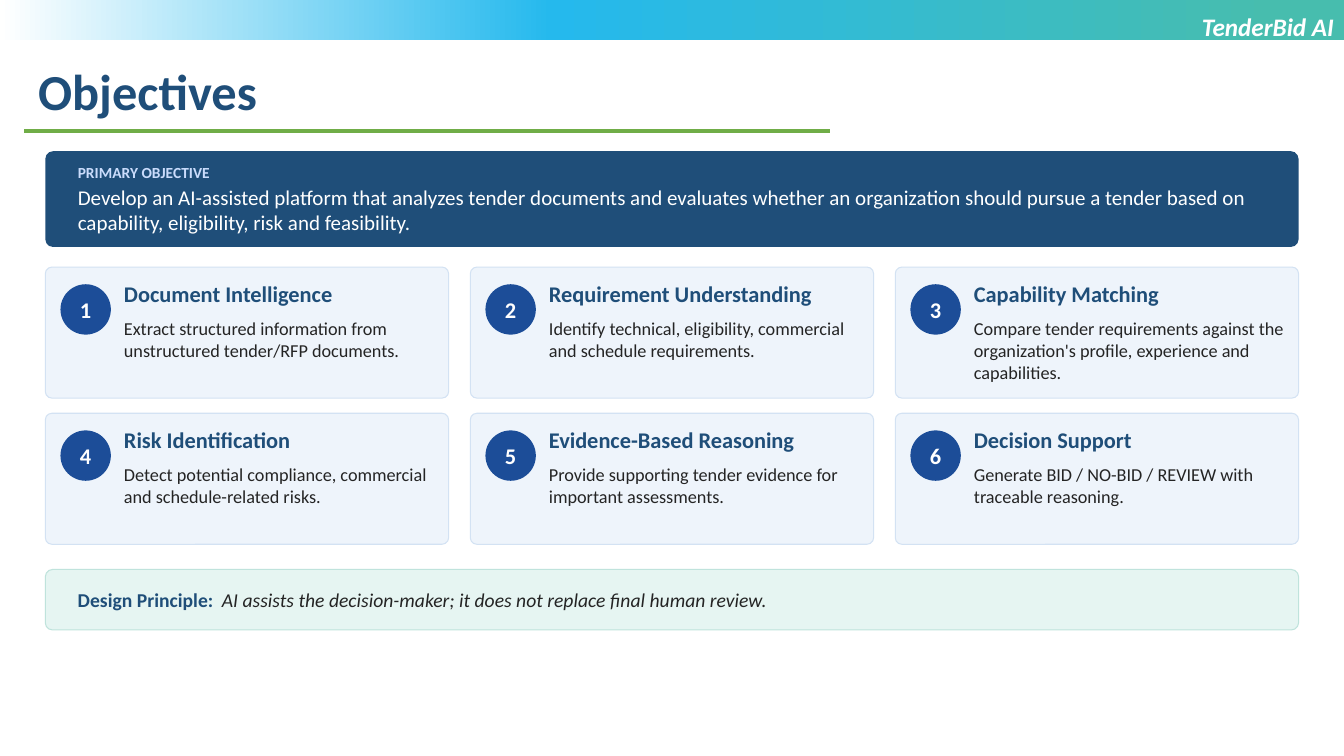
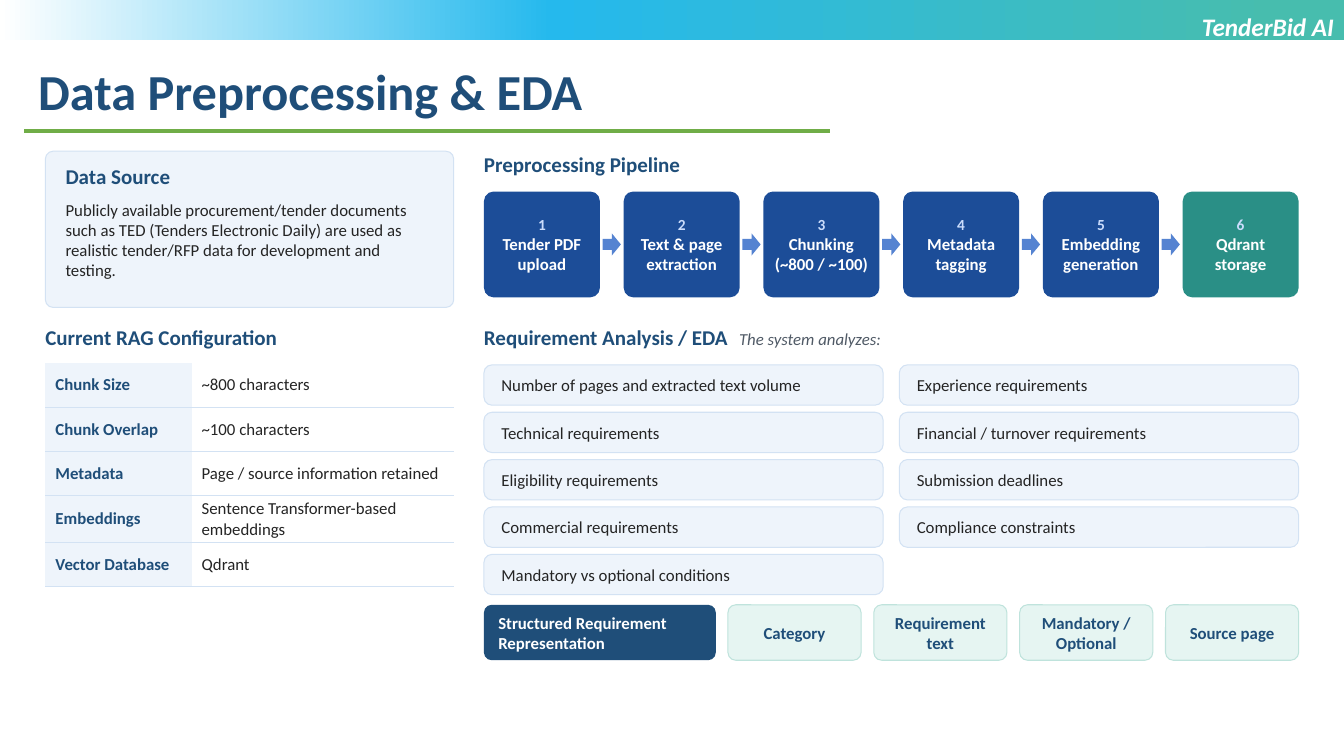
"""Build the Objectives and Data Preprocessing slides."""
from copy import deepcopy

from lxml import etree
from pptx import Presentation
from pptx.dml.color import RGBColor
from pptx.enum.shapes import MSO_CONNECTOR, MSO_SHAPE
from pptx.enum.text import MSO_ANCHOR, PP_ALIGN
from pptx.oxml.ns import qn
from pptx.util import Inches, Pt

RECTANGLE, ROUNDED = MSO_SHAPE.RECTANGLE, MSO_SHAPE.ROUNDED_RECTANGLE
OVAL, ARROW, STRAIGHT = MSO_SHAPE.OVAL, MSO_SHAPE.RIGHT_ARROW, MSO_CONNECTOR.STRAIGHT
TOP, MIDDLE = MSO_ANCHOR.TOP, MSO_ANCHOR.MIDDLE
LEFT, CENTER, RIGHT = PP_ALIGN.LEFT, PP_ALIGN.CENTER, PP_ALIGN.RIGHT

FONT = "Calibri"
NO_TABLE_STYLE = "{2D5ABB26-0587-4C30-8999-92F81FD0307C}"
COLORS = {
    "navy": "1F4E79", "blue": "1C4D98", "teal": "2A8F86", "arrow": "5583D1",
    "pale": "EEF4FB", "pale line": "D3E2F3", "mint": "E6F5F2", "mint line": "BFE3DC",
    "ice": "CADCFC", "ink": "242424", "gray": "505A66", "white": "FFFFFF",
    "rule": "70AD47", "band right": "47BDAE", "band middle": "25B9ED",
}
BAND_STOPS = [(0.05, "band right"), (0.59, "band middle"), (1, "white")]
STYLES = {
    "title": (36, "navy", True, False),
    "brand": (18, "white", True, True),
    "card title": (16, "navy", True, False),
    "card text": (13, "ink", False, False),
    "number": (16, "white", True, False),
    "kicker": (11, "ice", True, False),
    "lead": (15, "white", False, False),
    "principle": (14, "navy", True, False),
    "principle text": (14, "ink", False, True),
    "heading": (15, "navy", True, False),
    "aside": (12, "gray", False, True),
    "body": (12, "ink", False, False),
    "label": (12, "navy", True, False),
    "label white": (12, "white", True, False),
}

WIDTH, HEIGHT = 13.33, 7.5
MARGIN, CONTENT_WIDTH, CONTENT_TOP = 0.45, 12.43, 1.5
SIDE_WIDTH = 4.05
MAIN_LEFT, MAIN_WIDTH = 4.8, 8.08

BRAND = "TenderBid AI"
PRIMARY = ("PRIMARY OBJECTIVE",
           "Develop an AI-assisted platform that analyzes tender documents and evaluates whether "
           "an organization should pursue a tender based on capability, eligibility, risk and feasibility.")
OBJECTIVES = [
    ("Document Intelligence", "Extract structured information from unstructured tender/RFP documents."),
    ("Requirement Understanding", "Identify technical, eligibility, commercial and schedule requirements."),
    ("Capability Matching",
     "Compare tender requirements against the organization's profile, experience and capabilities."),
    ("Risk Identification", "Detect potential compliance, commercial and schedule-related risks."),
    ("Evidence-Based Reasoning", "Provide supporting tender evidence for important assessments."),
    ("Decision Support", "Generate BID / NO-BID / REVIEW with traceable reasoning."),
]
PRINCIPLE = ("Design Principle:", "AI assists the decision-maker; it does not replace final human review.")
DATA_SOURCE = ("Data Source",
               "Publicly available procurement/tender documents such as TED (Tenders Electronic Daily) "
               "are used as realistic tender/RFP data for development and testing.")
CONFIGURATION = [
    ("Chunk Size", "~800 characters"),
    ("Chunk Overlap", "~100 characters"),
    ("Metadata", "Page / source information retained"),
    ("Embeddings", "Sentence Transformer-based embeddings"),
    ("Vector Database", "Qdrant"),
]
PIPELINE = ["Tender PDF upload", "Text & page extraction", "Chunking (~800 / ~100)",
            "Metadata tagging", "Embedding generation", "Qdrant storage"]
ANALYSES = [
    ["Number of pages and extracted text volume", "Technical requirements", "Eligibility requirements",
     "Commercial requirements", "Mandatory vs optional conditions"],
    ["Experience requirements", "Financial / turnover requirements", "Submission deadlines",
     "Compliance constraints"],
]
REPRESENTATION = "Structured Requirement Representation"
FIELDS = ["Category", "Requirement text", "Mandatory / Optional", "Source page"]


def rgb(name):
    return RGBColor.from_string(COLORS[name])


def spread(left, total, count, width):
    """Return the left edges of equal items that fill a width with equal gaps."""
    step = (total - width) / (count - 1)
    return [left + index * step for index in range(count)]


def set_font(font, style):
    size, color, font.bold, font.italic = STYLES[style]
    font.name, font.size = FONT, Pt(size)
    font.color.rgb = rgb(color)


def write(frame, paragraphs, align=LEFT, space_after=0, tab=None):
    """Fill a text frame with paragraphs, each a list of (text, style) runs."""
    frame.word_wrap = True
    for index, runs in enumerate(paragraphs):
        paragraph = frame.add_paragraph() if index else frame.paragraphs[0]
        paragraph.alignment = align
        if space_after and index < len(paragraphs) - 1:
            paragraph.space_after = Pt(space_after)
        if tab:
            tabs = etree.SubElement(paragraph._p.get_or_add_pPr(), qn("a:tabLst"))
            etree.SubElement(tabs, qn("a:tab"), pos=str(Inches(tab)), algn="l")
        for text, style in runs:
            run = paragraph.add_run()
            run.text = text
            set_font(run.font if len(runs) > 1 else paragraph.font, style)


def set_insets(target, insets):
    (target.margin_left, target.margin_top,
     target.margin_right, target.margin_bottom) = map(Inches, insets)


def add_text(slide, box, runs, insets=(0, 0, 0, 0), align=LEFT, tab=None):
    frame = slide.shapes.add_textbox(*map(Inches, box)).text_frame
    set_insets(frame, insets)
    frame.vertical_anchor = TOP
    write(frame, [runs], align, tab=tab)


def add_shape(slide, kind, box, fill, line=None, radius=None, paragraphs=(),
              insets=(0, 0, 0, 0), align=LEFT, **options):
    shape = slide.shapes.add_shape(kind, *map(Inches, box))
    shape.shadow.inherit = False
    if radius is not None:
        shape.adjustments[0] = radius
    shape.fill.solid()
    shape.fill.fore_color.rgb = rgb(fill)
    if line:
        shape.line.color.rgb = rgb(line)
        shape.line.width = Pt(0.75)
    else:
        shape.line.fill.background()
    if paragraphs:
        set_insets(shape.text_frame, insets)
        shape.text_frame.vertical_anchor = MIDDLE
        write(shape.text_frame, paragraphs, align, **options)
    return shape


def add_base_slide(presentation, title):
    """Add a slide with the gradient band, title, rule and brand label."""
    slide = presentation.slides.add_slide(presentation.slide_layouts[6])
    band = add_shape(slide, RECTANGLE, (0, 0, WIDTH, 0.4), "white")
    band.fill.gradient()
    band.fill.gradient_angle = 180
    stop_list = band._element.find(".//" + qn("a:gsLst"))
    stop_list.append(deepcopy(stop_list[-1]))
    for stop, (position, color) in zip(band.fill.gradient_stops, BAND_STOPS):
        stop.position = position
        stop.color.rgb = rgb(color)
    default_insets = (0.1, 0.05, 0.1, 0.05)
    add_text(slide, (0.28, 0.55, 11.62, 0.71), [(title, "title")], default_insets)
    rule = slide.shapes.add_connector(STRAIGHT, *map(Inches, (0.24, 1.3, 8.23, 1.3)))
    rule.line.color.rgb = rgb("rule")
    rule.line.width = Pt(2.25)
    etree.SubElement(rule._element.spPr, qn("a:effectLst"))
    add_text(slide, (WIDTH / 2, 0.06, WIDTH / 2, 0.71), [(BRAND, "brand")], default_insets, RIGHT)
    return slide


def add_card(slide, left, top, number, title, text):
    add_shape(slide, ROUNDED, (left, top, 4, 1.3), "pale", "pale line", 0.05)
    add_shape(slide, OVAL, (left + 0.15, top + 0.17, 0.5, 0.5), "blue",
              paragraphs=[[(str(number), "number")]], align=CENTER)
    add_text(slide, (left + 0.78, top + 0.13, 3.1, 0.3), [(title, "card title")])
    add_text(slide, (left + 0.78, top + 0.5, 3.1, 0.8), [(text, "card text")])


def build_objectives(presentation):
    slide = add_base_slide(presentation, "Objectives")
    kicker, lead = PRIMARY
    add_shape(slide, ROUNDED, (MARGIN, CONTENT_TOP, CONTENT_WIDTH, 0.95), "navy", radius=0.08,
              paragraphs=[[(kicker, "kicker")], [(lead, "lead")]],
              insets=(0.3, 0.05, 0.3, 0.05), space_after=2)
    lefts = spread(MARGIN, CONTENT_WIDTH, 3, 4)
    for index, (title, text) in enumerate(OBJECTIVES):
        row, column = divmod(index, 3)
        add_card(slide, lefts[column], 2.65 + row * 1.45, index + 1, title, text)
    label, text = PRINCIPLE
    add_shape(slide, ROUNDED, (MARGIN, 5.65, CONTENT_WIDTH, 0.6), "mint", "mint line", 0.12,
              [[(label + "\t", "principle"), (text, "principle text")]],
              (0.3, 0.03, 0.3, 0.03), tab=1.43)


def add_configuration_table(slide):
    frame = slide.shapes.add_table(len(CONFIGURATION), 2, *map(Inches, (MARGIN, 3.6, SIDE_WIDTH, 2.2)))
    table = frame.table
    table.first_row = table.horz_banding = False
    table._tbl.tblPr.find(qn("a:tableStyleId")).text = NO_TABLE_STYLE
    for column, width in zip(table.columns, (1.45, 2.6)):
        column.width = Inches(width)
    for row, texts in zip(table.rows, CONFIGURATION):
        row.height = Inches(0.44)
        for cell, text, style in zip(row.cells, texts, ("label", "body")):
            set_insets(cell, (0.1, 0.03, 0.08, 0.03))
            cell.vertical_anchor = MIDDLE
            write(cell.text_frame, [[(text, style)]])
            if style == "label":
                cell.fill.solid()
                cell.fill.fore_color.rgb = rgb("pale")
            else:
                cell.fill.background()
            border = etree.Element(qn("a:lnB"), w=str(Pt(0.75)))
            fill = etree.SubElement(border, qn("a:solidFill"))
            etree.SubElement(fill, qn("a:srgbClr"), val=COLORS["pale line"])
            cell._tc.get_or_add_tcPr().insert(0, border)


def add_pipeline(slide):
    top, width, height = 1.9, 1.15, 1.05
    arrow_width, arrow_height = 0.18, 0.22
    lefts = spread(MAIN_LEFT, MAIN_WIDTH, len(PIPELINE), width)
    gap = lefts[1] - lefts[0] - width
    for number, (left, step) in enumerate(zip(lefts, PIPELINE), 1):
        last = number == len(PIPELINE)
        add_shape(slide, ROUNDED, (left, top, width, height), "teal" if last else "blue", radius=0.09,
                  paragraphs=[[(str(number), "kicker")], [(step, "label white")]],
                  insets=(0.05, 0.04, 0.05, 0.04), align=CENTER)
        if not last:
            add_shape(slide, ARROW, (left + width + (gap - arrow_width) / 2,
                                     top + (height - arrow_height) / 2, arrow_width, arrow_height), "arrow")


def build_preprocessing(presentation):
    slide = add_base_slide(presentation, "Data Preprocessing & EDA")
    heading, text = DATA_SOURCE
    add_shape(slide, ROUNDED, (MARGIN, CONTENT_TOP, SIDE_WIDTH, 1.55), "pale", "pale line", 0.05)
    add_text(slide, (MARGIN + 0.2, 1.62, 3.65, 0.3), [(heading, "heading")])
    add_text(slide, (MARGIN + 0.2, 1.98, 3.65, 1), [(text, "body")])
    add_text(slide, (MARGIN, 3.22, SIDE_WIDTH, 0.3), [("Current RAG Configuration", "heading")])
    add_configuration_table(slide)

    add_text(slide, (MAIN_LEFT, CONTENT_TOP, MAIN_WIDTH, 0.3), [("Preprocessing Pipeline", "heading")])
    add_pipeline(slide)

    add_text(slide, (MAIN_LEFT, 3.22, MAIN_WIDTH, 0.3),
             [("Requirement Analysis / EDA\t", "heading"), ("The system analyzes:", "aside")], tab=2.53)
    for left, analyses in zip(spread(MAIN_LEFT, MAIN_WIDTH, 2, 3.96), ANALYSES):
        for row, analysis in enumerate(analyses):
            add_shape(slide, ROUNDED, (left, 3.62 + row * 0.47, 3.96, 0.4), "pale", "pale line", 0.2,
                      [[(analysis, "body")]], (0.15, 0.02, 0.1, 0.02))

    top, height, label_width, gap = 6, 0.55, 2.3, 0.12
    add_shape(slide, ROUNDED, (MAIN_LEFT, top, label_width, height), "navy", radius=0.14,
              paragraphs=[[(REPRESENTATION, "label white")]], insets=(0.12, 0.02, 0.08, 0.02))
    offset = label_width + gap
    lefts = spread(MAIN_LEFT + offset, MAIN_WIDTH - offset, len(FIELDS), 1.32)
    for left, field in zip(lefts, FIELDS):
        add_shape(slide, ROUNDED, (left, top, 1.32, height), "mint", "mint line", 0.14,
                  [[(field, "label")]], (0.05, 0.02, 0.05, 0.02), CENTER)


def main():
    presentation = Presentation()
    presentation.slide_width, presentation.slide_height = Inches(WIDTH), Inches(HEIGHT)
    build_objectives(presentation)
    build_preprocessing(presentation)
    presentation.save("out.pptx")


if __name__ == "__main__":
    main()
